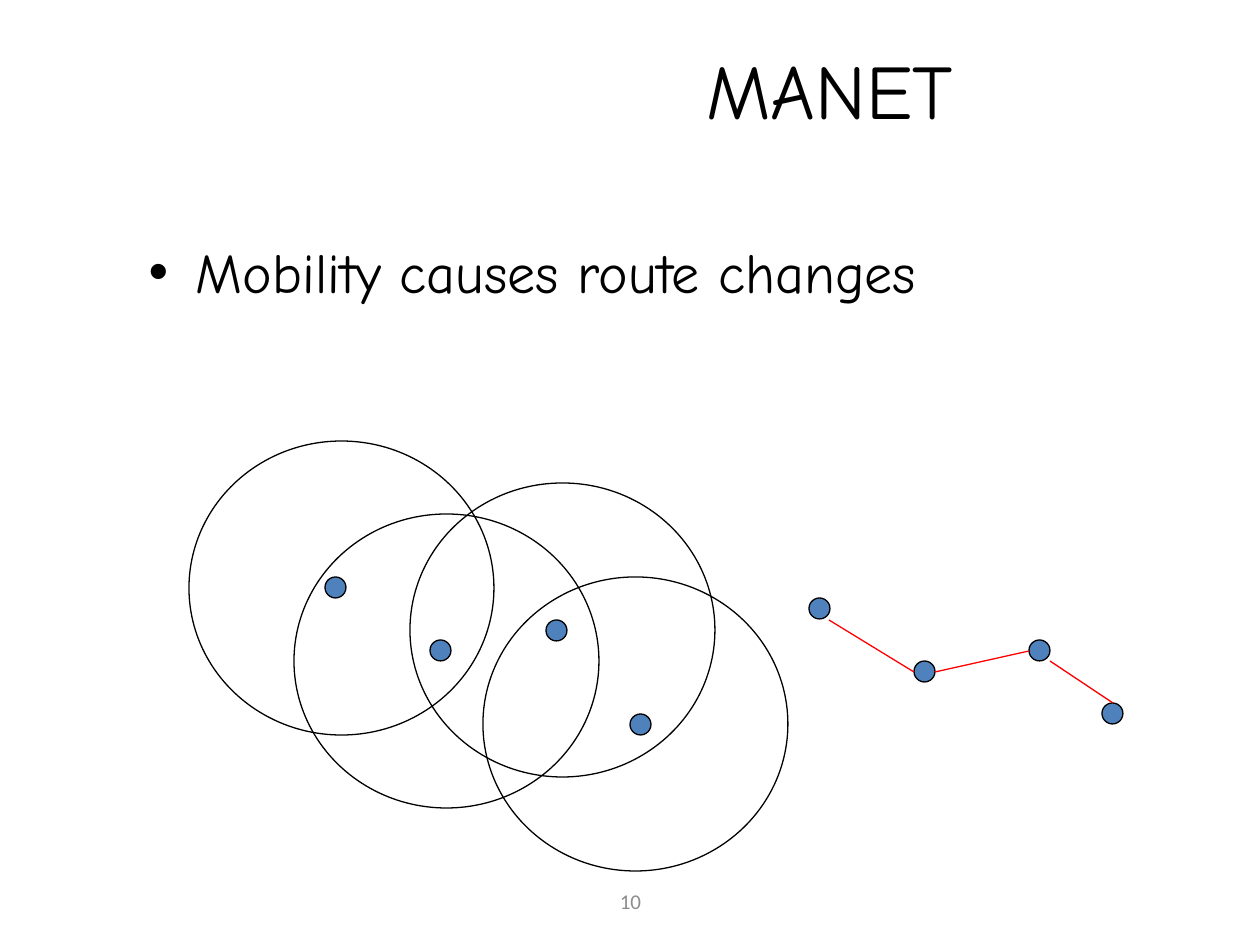
import pptx
import pptx.dml.color
import pptx.enum.shapes
import pptx.enum.text
import pptx.oxml.ns
import pptx.util
from lxml import etree

RGBColor = pptx.dml.color.RGBColor
BLACK = RGBColor(0x00, 0x00, 0x00)
WHITE = RGBColor(0xFF, 0xFF, 0xFF)
BLUE = RGBColor(0x4F, 0x81, 0xBD)
RED = RGBColor(0xFF, 0x00, 0x00)
GREY = RGBColor(0x8C, 0x8C, 0x8C)

PX = 914400 // 126
RANGE_SIZE = (305, 294)
NODE_SIZE = (21, 21)

RANGES = [(189, 441), (294, 514), (410, 483), (483, 577)]
NODES = [(325, 577), (430, 640), (546, 620), (630, 714)]
ROUTE_NODES = [(809, 598), (914, 661), (1029, 640), (1102, 703)]
ROUTE_LINKS = [
    ((829, 620), (914, 672)),
    ((935, 672), (1029, 651)),
    ((1050, 661), (1113, 703)),
]


def px(*lengths):
    return [pptx.util.Emu(n * PX) for n in lengths]


def set_text(shape, text, size, font, color, anchor, align=None):
    tf = shape.text_frame
    tf.text = text
    tf.word_wrap = True
    tf.auto_size = pptx.enum.text.MSO_AUTO_SIZE.NONE
    tf.vertical_anchor = anchor
    p = tf.paragraphs[0]
    if align is not None:
        p.alignment = align
    r = p.runs[0]
    r.font.size = pptx.util.Pt(size)
    r.font.name = font
    r.font.color.rgb = color


def place(shape, left, top, width, height):
    shape.left, shape.top, shape.width, shape.height = px(left, top, width, height)


def add_ellipse(s, position, size, fill=None):
    sp = s.shapes.add_shape(
        pptx.enum.shapes.MSO_SHAPE.OVAL, *px(*position, *size))
    sp.shadow.inherit = False
    if fill is None:
        sp.fill.background()
    else:
        sp.fill.solid()
        sp.fill.fore_color.rgb = fill
    sp.line.color.rgb = BLACK
    sp.line.width = pptx.util.Pt(0.75)


def add_link(s, start, end):
    line = s.shapes.add_connector(
        pptx.enum.shapes.MSO_CONNECTOR.STRAIGHT, *px(*start, *end))
    line.line.color.rgb = RED
    line.line.width = pptx.util.Pt(0.75)
    etree.SubElement(line._element.spPr, pptx.oxml.ns.qn("a:effectLst"))


def main():
    prs = pptx.Presentation()
    prs.slide_width, prs.slide_height = px(1260, 945)
    s = prs.slides.add_slide(prs.slide_layouts[1])
    anchor = pptx.enum.text.MSO_ANCHOR
    center = pptx.enum.text.PP_ALIGN.CENTER

    title, body = s.placeholders
    place(title, 379, 10, 901, 158)
    set_text(title, "MANET", 44, "Comic Neue", BLACK, anchor.MIDDLE, center)
    place(body, 136, 231, 1071, 84)
    set_text(body, "Mobility causes route changes", 32, "Comic Neue", BLACK,
             anchor.TOP)
    number = s.shapes.add_textbox(*px(431, 876, 399, 50))
    set_text(number, "10", 12, "Calibri", GREY, anchor.MIDDLE, center)

    for i, position in enumerate(RANGES):
        add_ellipse(s, position, RANGE_SIZE, WHITE if i == 0 else None)
    for position in NODES + ROUTE_NODES:
        add_ellipse(s, position, NODE_SIZE, BLUE)
    for start, end in ROUTE_LINKS:
        add_link(s, start, end)

    prs.save("out.pptx")


if __name__ == "__main__":
    main()
